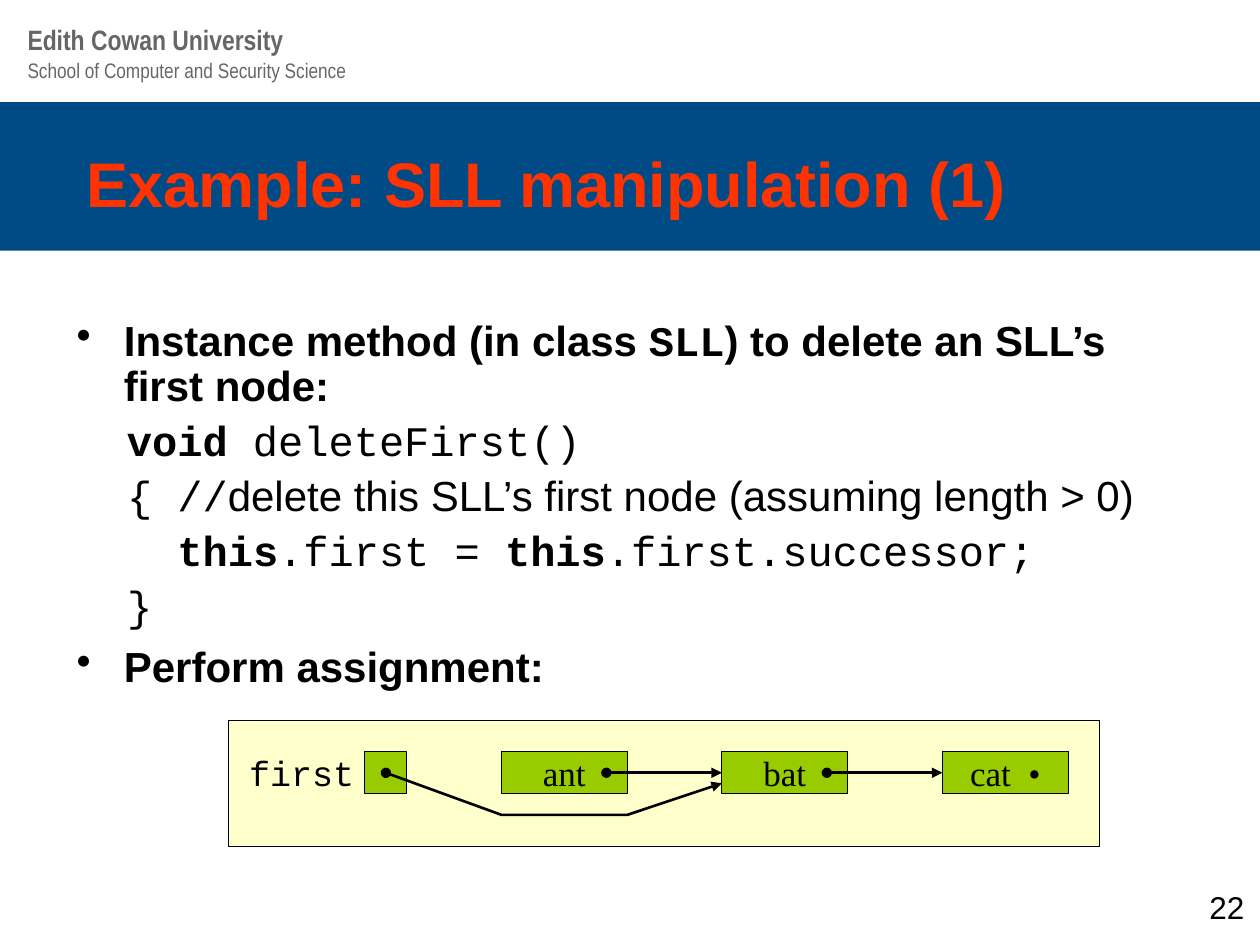
import pptx
import pptx.dml.color
import pptx.enum.shapes
import pptx.enum.text
import pptx.oxml
import pptx.oxml.ns
import pptx.util
from lxml import etree

COLORS = {"band": "004B85", "title": "FF3300", "header": "666666",
          "ink": "000000", "panel": "FFFFCC", "node": "99CC00"}
SANS, NARROW, MONO, SERIF = "Arial", "Arial Narrow", "Courier New", "Times New Roman"
ALIGN = pptx.enum.text.PP_ALIGN
ANCHOR = pptx.enum.text.MSO_ANCHOR
SHAPE = pptx.enum.shapes.MSO_SHAPE

# The slide is a grid of 120 columns by 90 rows of square cells
COLUMNS, ROWS = 120, 90
CELL = pptx.util.Inches(10) / COLUMNS


def cells(*counts):
    return [round(count * CELL) for count in counts]


def rgb(name):
    return pptx.dml.color.RGBColor.from_string(COLORS[name])


def add_run(paragraph, text, *, font=SANS, size=24, color="ink", bold=False):
    run = paragraph.add_run()
    run.text = text
    run.font.name = font
    run.font.size = pptx.util.Pt(size)
    run.font.bold = bold
    run.font.color.rgb = rgb(color)


def add_label(parts, box, text, *, align=ALIGN.LEFT, anchor=ANCHOR.MIDDLE,
              inset=True, **style):
    label = parts.add_textbox(*cells(*box))
    write_label(label.text_frame, text, align=align, anchor=anchor, inset=inset, **style)


def write_label(frame, text, *, align, anchor=ANCHOR.MIDDLE, inset=True, **style):
    frame.word_wrap = True
    frame.vertical_anchor = anchor
    if not inset:
        frame.margin_left = frame.margin_right = 0
        frame.margin_top = frame.margin_bottom = 0
    frame.paragraphs[0].alignment = align
    add_run(frame.paragraphs[0], text, **style)


def add_rect(parts, box, fill, outlined=True):
    rect = parts.add_shape(SHAPE.RECTANGLE, *cells(*box))
    rect.shadow.inherit = False
    rect.fill.solid()
    rect.fill.fore_color.rgb = rgb(fill)
    if outlined:
        rect.line.color.rgb = rgb("ink")
        rect.line.width = pptx.util.Pt(0.75)
    else:
        rect.line.fill.background()
    return rect


def style_link(link):
    """Black link with a dot at its start and an arrowhead at its end."""
    link.line.color.rgb = rgb("ink")
    link.line.width = pptx.util.Pt(1.5)
    outline = link.line._get_or_add_ln()
    for end, kind in (("a:headEnd", "oval"), ("a:tailEnd", "triangle")):
        etree.SubElement(outline, pptx.oxml.ns.qn(end), type=kind)


def add_header(parts, box):
    left, top, width, height = box
    add_label(parts, (left, top + 3.36, width, 3.6),
              "School of Computer and Security Science",
              font=NARROW, size=12, color="header")
    add_label(parts, (left, top, width, 4.44), "Edith Cowan University",
              font=NARROW, size=16, color="header", bold=True)


def add_title_band(parts, box):
    left, top, width, height = box
    add_rect(parts, box, "band", outlined=False)
    add_label(parts, (left + 7.08, top + 3.12, 102, 9),
              "Example: SLL manipulation (1)", size=36, color="title", bold=True)


def add_body(parts, box):
    code, keyword = {"font": MONO}, {"font": MONO, "bold": True}
    strong = {"bold": True}
    # Each line: bulleted, space before in points, runs
    lines = [
        (True, 0, [("Instance method (in class ", strong), ("SLL", keyword),
                   (") to delete an SLL’s first node:", strong)]),
        (False, 5.5, [("  ", code), ("void ", keyword), ("deleteFirst()", code)]),
        (False, 5.5, [("  { //", code),
                      ("delete this SLL’s first node (assuming length > 0)", {})]),
        (False, 5.5, [("    ", code), ("this", keyword), (".first = ", code),
                      ("this", keyword), (".first.successor;", code)]),
        (False, 5.5, [("  }", code)]),
        (True, 9, [("Perform assignment:", strong)]),
    ]
    frame = parts.add_textbox(*cells(*box)).text_frame
    frame.word_wrap = True
    indent = cells(4.5)[0]
    for number, (bulleted, space, runs) in enumerate(lines):
        paragraph = frame.add_paragraph() if number else frame.paragraphs[0]
        paragraph.line_spacing = 0.9
        paragraph.space_before = pptx.util.Pt(space)
        properties = paragraph._p.get_or_add_pPr()
        properties.set("marL", str(indent))
        properties.set("indent", str(-indent))
        if bulleted:
            etree.SubElement(properties, pptx.oxml.ns.qn("a:buChar"), char="•")
        else:
            etree.SubElement(properties, pptx.oxml.ns.qn("a:buNone"))
        for text, style in runs:
            add_run(paragraph, text, **style)


def add_list_diagram(parts, box):
    left, top, width, height = box
    first_node, pitch, node_width, node_height = 26, 21, 12, 4
    node_top, link_row = 3, 5

    add_rect(parts, box, "panel")
    # Reference to the first node
    add_rect(parts, (left + 13, top + node_top, 4, node_height), "node")
    add_label(parts, (left + 1, top + node_top, 11, node_height), "first",
              align=ALIGN.RIGHT, inset=False, font=MONO, size=20)

    # Nodes
    node_lefts = [left + first_node + pitch * index for index in range(3)]
    for node_left, text in zip(node_lefts, ("ant", "bat", "cat  •")):
        node = add_rect(parts, (node_left, top + node_top, node_width, node_height), "node")
        write_label(node.text_frame, text, align=ALIGN.CENTER, inset=False,
                    font=SERIF, size=20)

    # Successor links
    for start, end in zip(node_lefts, node_lefts[1:]):
        link = parts.add_connector(
            pptx.enum.shapes.MSO_CONNECTOR.STRAIGHT,
            *cells(start + 10, top + link_row, end, top + link_row))
        style_link(link)
        etree.SubElement(link._element.spPr, pptx.oxml.ns.qn("a:effectLst"))

    # Reassigned link, passing below the deleted node
    ant, bat = node_lefts[:2]
    detour = [cells(x, top + row) for x, row in
              ((left + 15, link_row), (ant, 9), (ant + node_width, 9), (bat, 6))]
    builder = parts.build_freeform(*detour[0], scale=1.0)
    builder.add_line_segments(detour[1:], close=False)
    bypass = builder.convert_to_shape()
    bypass.shadow.inherit = False
    bypass.fill.background()
    style_link(bypass)


def main():
    deck = pptx.Presentation()
    deck.slide_width, deck.slide_height = cells(COLUMNS, ROWS)
    slide = deck.slides.add_slide(deck.slide_layouts[6])
    add_title_band(slide.shapes, (0, 9.72, COLUMNS, 14.16))
    add_header(slide.shapes, (1.44, 1.56, 70.68, 6.96))
    add_body(slide.shapes, (6.12, 29.88, 108.84, 36.84))
    add_label(slide.shapes, (114, 84, 6, 4), "22", size=18, anchor=ANCHOR.TOP)
    add_list_diagram(slide.shapes.add_group_shape().shapes, (21.75, 68.6, 83, 12))
    deck.save("out.pptx")


if __name__ == "__main__":
    main()
